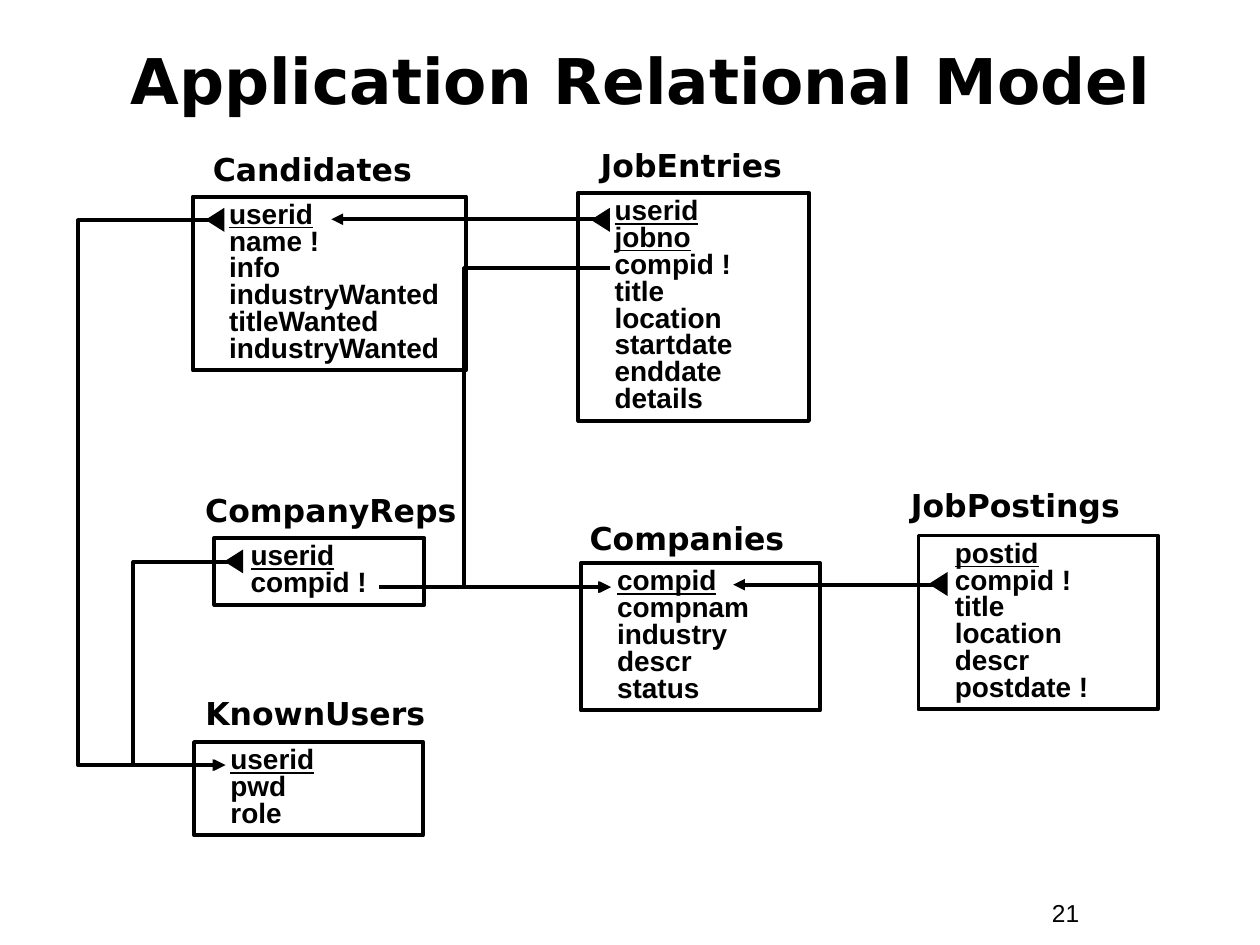
from dataclasses import dataclass
from typing import Any, Optional

from lxml.etree import SubElement
from pptx import Presentation
from pptx.dml.color import RGBColor
from pptx.enum.shapes import MSO_CONNECTOR, MSO_SHAPE
from pptx.enum.text import MSO_ANCHOR, PP_ALIGN
from pptx.oxml.ns import qn
from pptx.util import Pt


@dataclass(frozen=True)
class Theme:
    ink: RGBColor = RGBColor(0, 0, 0)
    paper: RGBColor = RGBColor(255, 255, 255)
    heading_font: str = "DejaVu Sans"
    body_font: str = "Arial"
    title_size: float = 36
    label_size: float = 18
    field_size: float = 16
    number_size: float = 14
    line_width: float = 2.25
    field_indent: float = 13.7
    tight_spacing: float = 0.8


@dataclass(frozen=True)
class Entity:
    name: str
    label_at: tuple[float, float]
    box: tuple[float, float, float, float]
    keys: tuple[str, ...]
    fields: tuple[str, ...]
    label_width: float = 154.8


@dataclass(frozen=True)
class Relation:
    start: tuple[float, float]
    end: tuple[float, float]
    elbow_x: Optional[float] = None


THEME = Theme()
LABEL_HEIGHT = 24.5
MARKER_WIDTH, MARKER_HEIGHT = 13.7, 10.8

ENTITIES = (
    Entity("Candidates", (114.5, 86.4), (110.2, 112.3, 156.2, 99.4), ("userid",),
           ("name !", "info", "industryWanted", "titleWanted", "industryWanted")),
    Entity("JobEntries", (336.2, 84.2), (330.5, 110.2, 131.8, 130.3), ("userid", "jobno"),
           ("compid !", "title", "location", "startdate", "enddate", "details")),
    Entity("CompanyReps", (110.2, 281.5), (122.4, 307.4, 120.2, 38.2), ("userid",),
           ("compid !",), 163.4),
    Entity("Companies", (329.8, 297.4), (331.9, 321.8, 136.8, 84.2), ("compid",),
           ("compnam", "industry", "descr", "status")),
    Entity("JobPostings", (513.4, 278.6), (524.9, 306, 136.8, 99.4), ("postid",),
           ("compid !", "title", "location", "descr", "postdate !")),
    Entity("KnownUsers", (110.2, 397.4), (110.9, 424.1, 131, 53.3), ("userid",),
           ("pwd", "role")),
)

RELATIONS = (
    Relation((347.8, 125.3), (189.4, 125.3)),
    Relation((348.5, 153.4), (349.2, 335.5), 266.4),
    Relation((127.4, 126), (128.9, 437.2), 44.6),
    Relation((138.2, 321.1), (128.2, 437.2), 76.3),
    Relation((216.7, 335.5), (348.5, 335.5)),
    Relation((540, 334.1), (419, 334.1)),
)

MANY_MARKERS = ((336.2, 120.2), (529.2, 328.3), (126.7, 315.4), (115.9, 120.2))


def set_values(target: Any, values: dict[str, Any]) -> None:
    for name, value in values.items():
        setattr(target, name, value)


def write_line(para: Any, text: str, font: str, size: float,
               bold: bool = True, underline: bool = False) -> None:
    span = para.add_run()
    span.text = text
    set_values(span.font, {"name": font, "size": Pt(size), "bold": bold,
                           "underline": underline})
    span.font.color.rgb = THEME.ink


def add_text(page: Any, area: tuple[float, float, float, float], text: str,
             font: str, size: float, bold: bool = True,
             spacing: Optional[float] = None) -> None:
    box = page.shapes.add_textbox(*map(Pt, area))
    box.text_frame.word_wrap = True
    para = box.text_frame.paragraphs[0]
    para.line_spacing = spacing
    write_line(para, text, font, size, bold)


def add_title(page: Any, text: str) -> None:
    title = page.shapes.title
    set_values(title, {"left": Pt(30.2), "top": Pt(12.2),
                       "width": Pt(671.8), "height": Pt(66.2)})
    title.text_frame.vertical_anchor = MSO_ANCHOR.MIDDLE
    para = title.text_frame.paragraphs[0]
    para.alignment = PP_ALIGN.CENTER
    write_line(para, text, THEME.heading_font, THEME.title_size)


def add_entity(page: Any, entity: Entity) -> None:
    add_text(page, (*entity.label_at, entity.label_width, LABEL_HEIGHT), entity.name,
             THEME.heading_font, THEME.label_size, spacing=THEME.tight_spacing)
    box = page.shapes.add_shape(MSO_SHAPE.RECTANGLE, *map(Pt, entity.box))
    box.shadow.inherit = False
    box.fill.background()
    box.line.color.rgb = THEME.ink
    box.line.width = Pt(THEME.line_width)
    frame = box.text_frame
    set_values(frame, {"word_wrap": True, "vertical_anchor": MSO_ANCHOR.TOP})
    for index, field in enumerate(entity.keys + entity.fields):
        para = frame.add_paragraph() if index else frame.paragraphs[0]
        set_values(para, {"alignment": PP_ALIGN.LEFT, "line_spacing": THEME.tight_spacing})
        para._p.get_or_add_pPr().set("marL", str(Pt(THEME.field_indent)))
        write_line(para, field, THEME.body_font, THEME.field_size,
                   underline=index < len(entity.keys))


def add_relation(page: Any, relation: Relation) -> None:
    bent = relation.elbow_x is not None
    kind = MSO_CONNECTOR.ELBOW if bent else MSO_CONNECTOR.STRAIGHT
    line = page.shapes.add_connector(kind, *map(Pt, relation.start + relation.end))
    line.line.color.rgb = THEME.ink
    line.line.width = Pt(THEME.line_width)
    properties = line._element.spPr
    SubElement(properties.find(qn("a:ln")), qn("a:tailEnd"), type="triangle")
    SubElement(properties, qn("a:effectLst"))
    if bent:
        start_x, end_x = relation.start[0], relation.end[0]
        ratio = (relation.elbow_x - start_x) / (end_x - start_x)
        geometry = properties.find(qn("a:prstGeom"))
        guides = geometry.find(qn("a:avLst"))
        if guides is None:
            guides = SubElement(geometry, qn("a:avLst"))
        SubElement(guides, qn("a:gd"), name="adj1", fmla=f"val {round(ratio * 100000)}")


def add_marker(page: Any, left: float, top: float) -> None:
    marker = page.shapes.add_shape(MSO_SHAPE.ISOSCELES_TRIANGLE, Pt(left), Pt(top),
                                   Pt(MARKER_WIDTH), Pt(MARKER_HEIGHT))
    marker.rotation = 270
    marker.shadow.inherit = False
    marker.fill.solid()
    marker.fill.fore_color.rgb = THEME.ink
    marker.line.fill.background()


def main() -> None:
    deck = Presentation()
    set_values(deck, {"slide_width": Pt(720), "slide_height": Pt(540)})
    page = deck.slides.add_slide(deck.slide_layouts[5])
    page.background.fill.solid()
    page.background.fill.fore_color.rgb = THEME.paper
    add_title(page, "Application Relational Model")
    for entity in ENTITIES:
        add_entity(page, entity)
    for relation in RELATIONS:
        add_relation(page, relation)
    for left, top in MANY_MARKERS:
        add_marker(page, left, top)
    add_text(page, (594, 509.8, 66.2, 24.5), "21", THEME.body_font,
             THEME.number_size, bold=False)
    deck.save("out.pptx")


if __name__ == "__main__":
    main()
